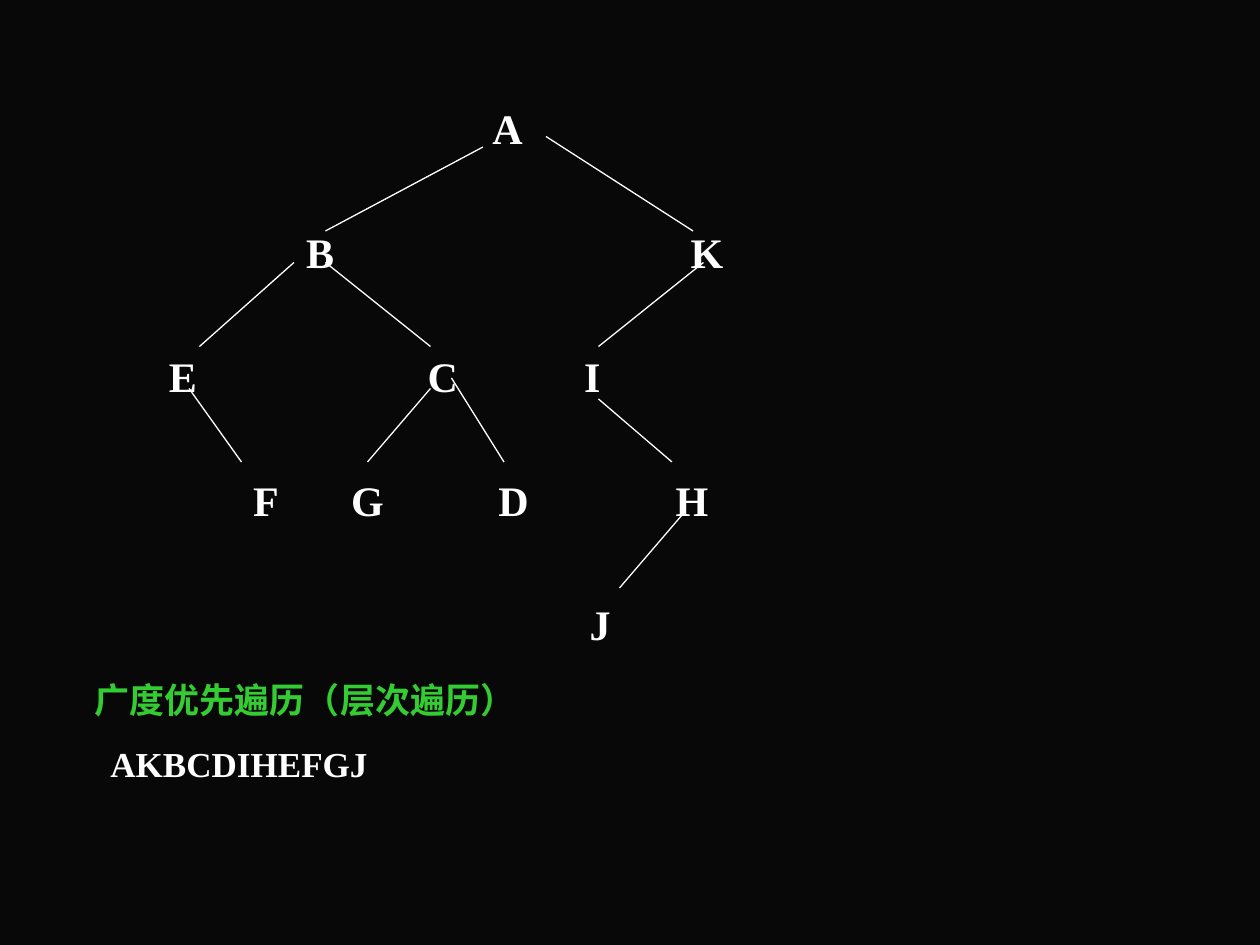
from lxml import etree
from pptx import Presentation
from pptx import util as u
from pptx.dml import color
from pptx.enum import shapes, text
from pptx.oxml import ns

COLORS = {"background": "080808", "ink": "FFFFFF", "heading": "33CC33"}
FONT = "Times New Roman"

LEVELS = [
    [("A", 290)],
    [("B", 183), ("K", 404)],
    [("E", 104.5), ("C", 253), ("I", 338.5)],
    [("F", 152), ("G", 210), ("D", 293.5), ("H", 395.5)],
    [("J", 343)],
]
EDGES = [
    (276, 84, 186, 132),
    (168, 150, 114, 198),
    (186, 150, 246, 198),
    (108, 222, 138, 264),
    (246, 222, 210, 264),
    (258, 216, 288, 264),
    (312, 78, 396, 132),
    (402, 150, 342, 198),
    (342, 228, 384, 264),
    (390, 294, 354, 336),
]


class TreeSlide:
    def __init__(self, deck):
        self.page = deck.slides.add_slide(deck.slide_layouts[6])
        fill = self.page.background.fill
        fill.solid()
        fill.fore_color.rgb = self.rgb("background")

    def rgb(self, name):
        return color.RGBColor.from_string(COLORS[name])

    def box(self, left, top, width, height, insets):
        box = self.page.shapes.add_textbox(u.Pt(left), u.Pt(top), u.Pt(width), u.Pt(height))
        frame = box.text_frame
        frame.word_wrap = True
        frame.auto_size = text.MSO_AUTO_SIZE.NONE
        frame.margin_left, frame.margin_top, frame.margin_right, frame.margin_bottom = map(u.Pt, insets)
        return frame

    def style(self, para, size, ink):
        for span in para.runs:
            span.font.name = FONT
            span.font.size = u.Pt(size)
            span.font.bold = True
            span.font.color.rgb = self.rgb(ink)

    def tree(self, left, top, width, height, levels):
        frame = self.box(left, top, width, height, (0, 40.6, 0, 0))
        frame.text = "\n".join("".join("\t" + name for name, _ in level) for level in levels)
        for index, (para, level) in enumerate(zip(frame.paragraphs, levels)):
            if index:
                para.space_before = u.Pt(42.1)
            stops = etree.SubElement(para._p.get_or_add_pPr(), ns.qn("a:tabLst"))
            for _, center in level:
                etree.SubElement(stops, ns.qn("a:tab"), pos=str(u.Pt(center - left)), algn="ctr")
            self.style(para, 24, "ink")

    def edge(self, *ends):
        line = self.page.shapes.add_connector(shapes.MSO_CONNECTOR.STRAIGHT, *map(u.Pt, ends))
        line.line.color.rgb = self.rgb("ink")
        line.line.width = u.Pt(0.75)
        etree.SubElement(line._element.spPr, ns.qn("a:effectLst"))

    def caption(self, left, top, width, height, lines):
        frame = self.box(left, top, width, height, (7.2, 3.6, 7.2, 3.6))
        frame.text = "\n".join(line for line, _, _ in lines)
        for index, (para, (_, indent, ink)) in enumerate(zip(frame.paragraphs, lines)):
            para._p.get_or_add_pPr().set("marL", str(u.Pt(indent)))
            if index:
                para.space_before = u.Pt(12.5)
            self.style(para, 20, ink)


def main():
    deck = Presentation()
    deck.slide_width, deck.slide_height = u.Pt(720), u.Pt(540)
    slide = TreeSlide(deck)
    slide.tree(18, 18, 684, 504, LEVELS)
    for ends in EDGES:
        slide.edge(*ends)
    slide.caption(42, 384, 594, 68, [
        ("广度优先遍历（层次遍历）", 5, "heading"),
        ("AKBCDIHEFGJ", 14, "ink"),
    ])
    deck.save("out.pptx")


if __name__ == "__main__":
    main()
